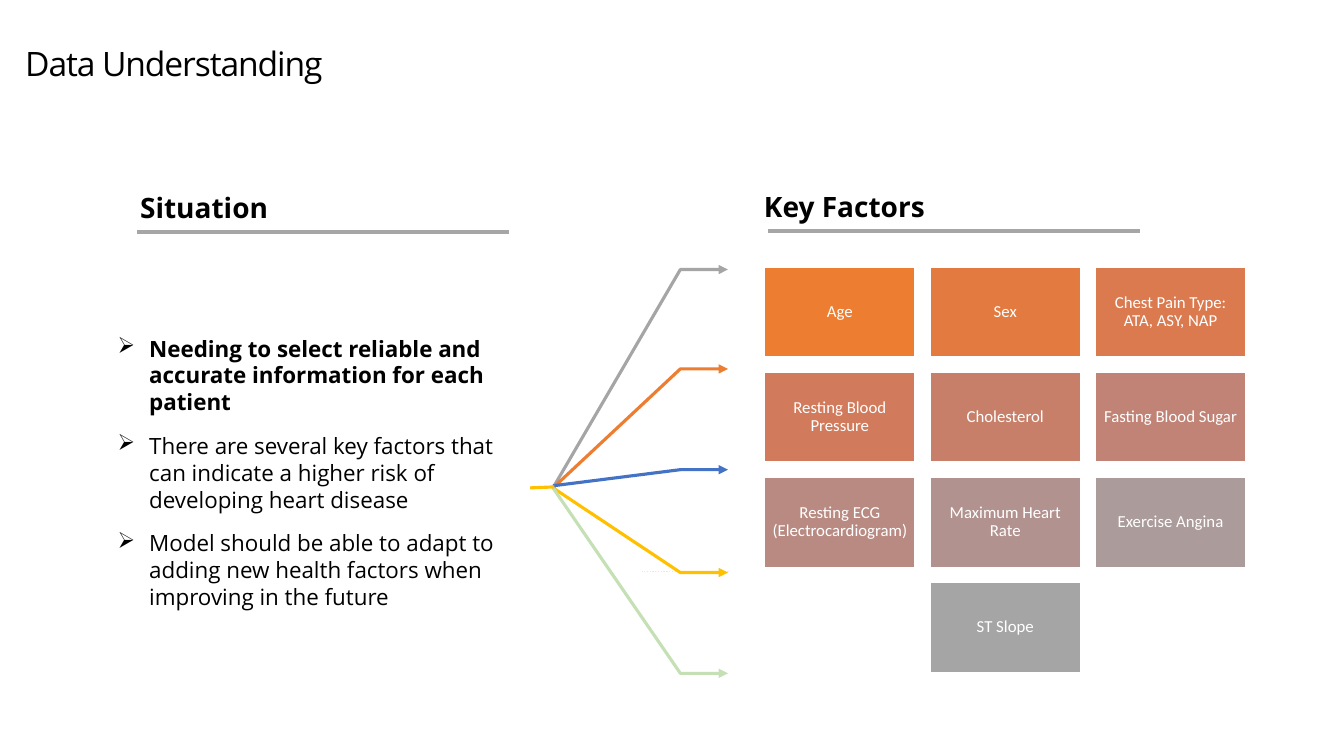
import pptx
import pptx.util
import pptx.dml.color
import pptx.enum.dml
import pptx.enum.shapes
import pptx.enum.text
import pptx.oxml.ns
import lxml.etree

Pt = pptx.util.Pt
ANCHOR = pptx.enum.text.MSO_ANCHOR
ALIGN = pptx.enum.text.PP_ALIGN
COLORS = {
    "text": "000000", "white": "FFFFFF", "rule": "A6A6A6", "dots": "DEEBF7",
    "gray": "A5A5A5", "orange": "ED7D31", "blue": "4472C4",
    "yellow": "FFC000", "green": "C5E0B4",
}
FACTORS = [
    ("Age", "ED7D31"), ("Sex", "E37A40"),
    ("Chest Pain Type: ATA, ASY, NAP", "DA7A4E"),
    ("Resting Blood Pressure", "D17B5C"), ("Cholesterol", "C87F69"),
    ("Fasting Blood Sugar", "C08376"),
    ("Resting ECG (Electrocardiogram)", "B98A82"),
    ("Maximum Heart Rate", "B2928E"), ("Exercise Angina", "AB9B9A"),
    ("ST Slope", "A5A5A5"),
]
SITUATION = [
    "Needing to select reliable and accurate information for each patient",
    "There are several key factors that can indicate a higher risk of developing heart disease",
    "Model should be able to adapt to adding new health factors when improving in the future",
]
ARROWS = [
    ("gray", 348.5, 192.5), ("orange", 348.5, 263.5), ("yellow", 348.5, 409),
    ("green", 348.5, 481), ("blue", 347, 335.5),
]


def rgb(color):
    return pptx.dml.color.RGBColor.from_string(COLORS.get(color, color))


def sub(parent, tag, **attrs):
    return lxml.etree.SubElement(parent, pptx.oxml.ns.qn(tag), attrs)


def add_text(p, text, size=16, font="Open Sans", color="text", bold=False,
             align=ALIGN.LEFT, before=0, after=0, spacing=1.0, tracking=0,
             bullet=None, indent=0):
    p.alignment = align
    p.space_before, p.space_after = Pt(before), Pt(after)
    p.line_spacing = spacing
    r = p.add_run()
    r.text = text
    r.font.size, r.font.name, r.font.bold = Pt(size), font, bold
    r.font.color.rgb = rgb(color)
    if tracking:
        r._r.get_or_add_rPr().set("spc", str(round(tracking * 100)))
    if bullet:
        pPr = p._p.get_or_add_pPr()
        pPr.set("marL", str(Pt(indent)))
        pPr.set("indent", str(-Pt(indent)))
        sub(pPr, "a:buChar", char=bullet)


class Deck:
    def __init__(self, width, height):
        self.prs = pptx.Presentation()
        self.prs.slide_width, self.prs.slide_height = Pt(width), Pt(height)
        self.s = self.prs.slides.add_slide(self.prs.slide_layouts[5])

    def frame(self, tf, anchor=ANCHOR.TOP, insets=(7.2, 3.6, 7.2, 3.6), wrap=True):
        tf.word_wrap = wrap
        tf.vertical_anchor = anchor
        tf.margin_left, tf.margin_top, tf.margin_right, tf.margin_bottom = map(Pt, insets)

    def stroke(self, sp, color, width):
        sp.line.color.rgb = rgb(color)
        sp.line.width = Pt(width)

    def title(self, text, *box):
        sp = self.s.shapes.title
        sp.left, sp.top, sp.width, sp.height = map(Pt, box)
        tf = sp.text_frame
        self.frame(tf, ANCHOR.BOTTOM, (0, 3.6, 0, 0))
        tf.auto_size = pptx.enum.text.MSO_AUTO_SIZE.NONE
        add_text(tf.paragraphs[0], text, size=24, spacing=0.9, tracking=-0.8)

    def text(self, items, *box, wrap=True):
        tf = self.s.shapes.add_textbox(*map(Pt, box)).text_frame
        self.frame(tf, wrap=wrap)
        for i, (text, fmt) in enumerate(items):
            p = tf.add_paragraph() if i else tf.paragraphs[0]
            add_text(p, text, before=6, after=6, **fmt)

    def line(self, x1, y1, x2, y2, color, width, dash=None):
        sp = self.s.shapes.add_connector(
            pptx.enum.shapes.MSO_CONNECTOR.STRAIGHT, *map(Pt, (x1, y1, x2, y2)))
        self.stroke(sp, color, width)
        if dash:
            sp.line.dash_style = dash
        sub(sp._element.spPr, "a:effectLst")

    def arrow(self, points, color, width):
        start, *rest = [(Pt(x), Pt(y)) for x, y in points]
        builder = self.s.shapes.build_freeform(*start)
        builder.add_line_segments(rest, close=False)
        sp = builder.convert_to_shape()
        sp.fill.background()
        self.stroke(sp, color, width)
        sub(sp.line._get_or_add_ln(), "a:tailEnd", type="triangle")
        sp.shadow.inherit = False

    def tile(self, text, fill, *box):
        sp = self.s.shapes.add_shape(
            pptx.enum.shapes.MSO_SHAPE.RECTANGLE, *map(Pt, box))
        sp.fill.solid()
        sp.fill.fore_color.rgb = rgb(fill)
        self.stroke(sp, "white", 1)
        sp.shadow.inherit = False
        self.frame(sp.text_frame, ANCHOR.MIDDLE, (3.6,) * 4)
        add_text(sp.text_frame.paragraphs[0], text, size=12, font="Calibri",
                 color="white", align=ALIGN.CENTER, after=4.2, spacing=0.9)


def main():
    deck = Deck(960, 540)
    deck.title("Data Understanding", 18, 13, 816, 46.8)
    deck.line(520.5, 408.25, 458.6, 408.25, "dots", 1,
              pptx.enum.dml.MSO_LINE.ROUND_DOT)
    for color, start, end in ARROWS:
        deck.arrow([(395, start), (486, end), (520, end)], color, 2.25)
    deck.line(378.7, 348.5, 396, 347.8, "yellow", 2.25)

    deck.text([(text, dict(bold=i == 0, bullet="➢", indent=22.5))
               for i, text in enumerate(SITUATION)], 77, 235.5, 301, 206)
    for text, x, y, width, rule_x in [("Situation", 93, 132.5, 106.5, 98),
                                      ("Key Factors", 538.6, 131.8, 130.3, 548.5)]:
        deck.text([(text, dict(size=20, bold=True))], x, y, width, 31.5, wrap=False)
        deck.line(rule_x, y + 33.1, rule_x + 265.5, y + 33.1, "rule", 3)

    for i, (text, fill) in enumerate(FACTORS):
        row, col = divmod(i, 3)
        if i == len(FACTORS) - 1:
            col = 1
        deck.tile(text, fill, 546.3 + 118.1 * col, 190.8 + 75.1 * row, 107.3, 64.2)
    deck.prs.save("out.pptx")


if __name__ == "__main__":
    main()
